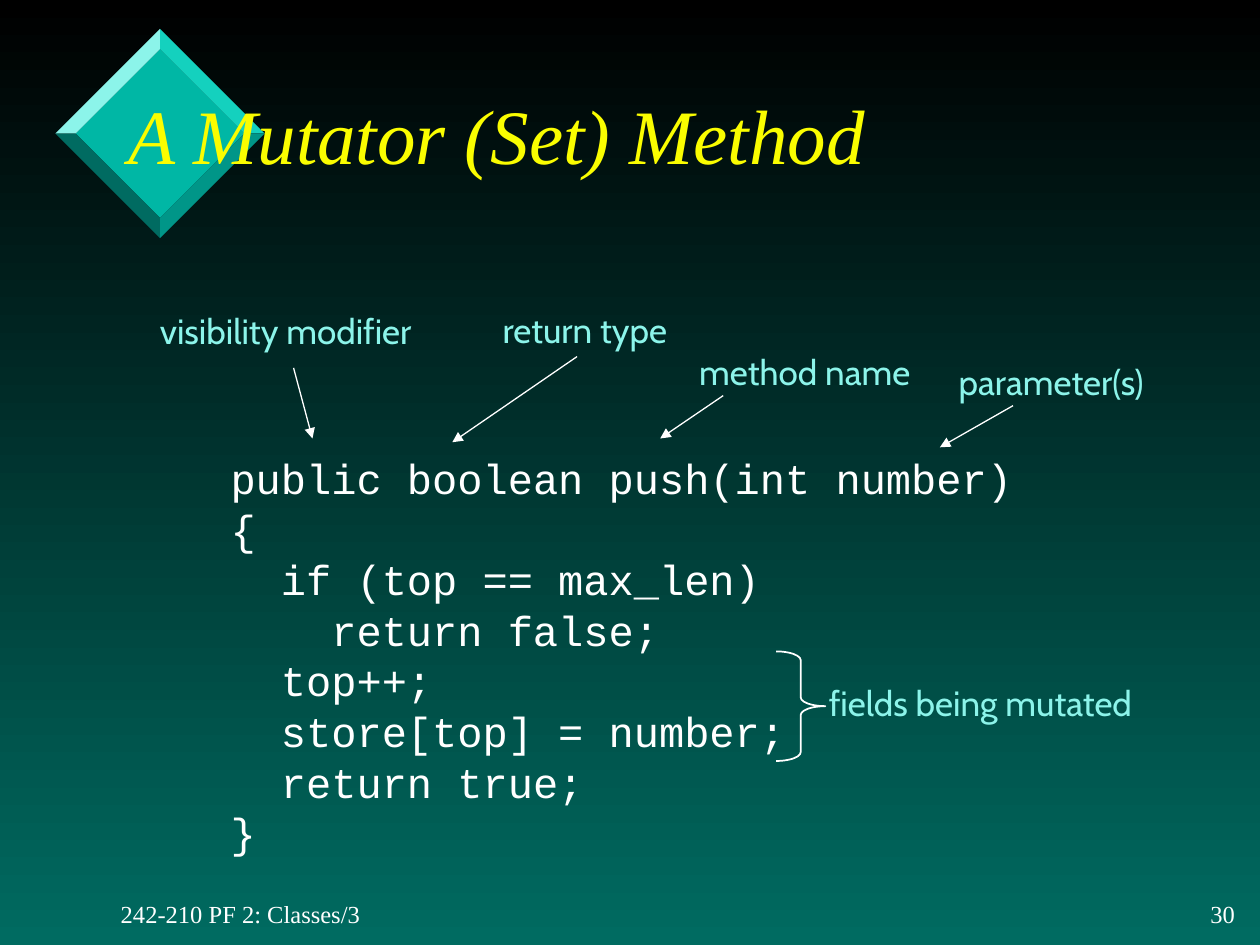
import pptx
import pptx.dml.color
import pptx.enum.shapes
import pptx.enum.text
import pptx.oxml
import pptx.oxml.ns
import pptx.util
from pptx.util import Inches

COLORS = {
    "black": "000000",
    "white": "FFFFFF",
    "yellow": "FAFD00",
    "label": "8CF4EA",
    "face": "00B7A5",
    "top_right": "14D1BE",
    "top_left": "8CF4EA",
    "bottom_right": "009688",
    "bottom_left": "006B61",
}
BODY_FONT, CODE_FONT, LABEL_FONT = "Times New Roman", "Courier New", "Cabin"
ALIGN = pptx.enum.text.PP_ALIGN
ANCHOR = pptx.enum.text.MSO_ANCHOR


def rgb(name):
    return pptx.dml.color.RGBColor.from_string(COLORS[name])


class SlideBuilder:
    """Holds the style and the current slide."""

    def __init__(self, presentation):
        self.slide = presentation.slides.add_slide(presentation.slide_layouts[5])

    def background(self, top, bottom):
        fill = self.slide.background.fill
        fill.gradient()
        fill.gradient_angle = 270
        for stop, name, position in zip(fill.gradient_stops, (top, bottom), (0, 1)):
            stop.color.rgb = rgb(name)
            stop.position = position

    def format_runs(self, paragraph, font, size, color, italic=False):
        for run in paragraph.runs:
            run.font.name = font
            run.font.size = pptx.util.Pt(size)
            run.font.color.rgb = rgb(color)
            run.font.italic = italic

    def title(self, text, left, top, width, height):
        shape = self.slide.shapes.title
        shape.left, shape.top = Inches(left), Inches(top)
        shape.width, shape.height = Inches(width), Inches(height)
        frame = shape.text_frame
        frame.text = text
        frame.auto_size = pptx.enum.text.MSO_AUTO_SIZE.NONE
        frame.vertical_anchor = ANCHOR.MIDDLE
        frame.paragraphs[0].alignment = ALIGN.LEFT
        self.format_runs(frame.paragraphs[0], BODY_FONT, 44, "yellow", italic=True)

    def text(self, text, left, top, width, height, font, size, color,
             align=ALIGN.LEFT, anchor=ANCHOR.TOP, wrap=False):
        box = self.slide.shapes.add_textbox(
            Inches(left), Inches(top), Inches(width), Inches(height))
        frame = box.text_frame
        frame.text = text
        frame.word_wrap = wrap
        frame.vertical_anchor = anchor
        for paragraph in frame.paragraphs:
            paragraph.alignment = align
            self.format_runs(paragraph, font, size, color)
        return frame

    def code(self, lines, left, top, width, height):
        """Each line is a pair of indent (in characters) and text."""
        frame = self.text("\n".join(text for _, text in lines), left, top, width,
                          height, CODE_FONT, 24, "white", wrap=True)
        frame.margin_left, frame.margin_top = Inches(0.5), Inches(0.09)
        for paragraph, (indent, _) in zip(frame.paragraphs, lines):
            paragraph.line_spacing = pptx.util.Pt(28.9)
            properties = paragraph._p.get_or_add_pPr()
            properties.set("marL", str(Inches(0.2 * indent)))
            properties.set("indent", "0")

    def polygon(self, points, color):
        corners = [(Inches(x), Inches(y)) for x, y in points]
        builder = self.slide.shapes.build_freeform(*corners[0])
        builder.add_line_segments(corners[1:], close=True)
        shape = builder.convert_to_shape()
        shape.shadow.inherit = False
        shape.fill.solid()
        shape.fill.fore_color.rgb = rgb(color)
        shape.line.fill.background()

    def arrow(self, start, end):
        connector = self.slide.shapes.add_connector(
            pptx.enum.shapes.MSO_CONNECTOR.STRAIGHT,
            *(Inches(value) for value in start + end))
        connector.line.color.rgb = rgb("white")
        connector.line.width = pptx.util.Pt(0.75)
        tail = pptx.oxml.parse_xml(
            f'<a:tailEnd {pptx.oxml.ns.nsdecls("a")} type="triangle"/>')
        connector.line._get_or_add_ln().append(tail)
        connector._element.spPr.append(pptx.oxml.parse_xml(
            f'<a:effectLst {pptx.oxml.ns.nsdecls("a")}/>'))

    def brace(self, left, top, width, height):
        shape = self.slide.shapes.add_shape(
            pptx.enum.shapes.MSO_SHAPE.RIGHT_BRACE,
            Inches(left), Inches(top), Inches(width), Inches(height))
        shape.adjustments[0], shape.adjustments[1] = 0.18, 0.5
        shape.shadow.inherit = False
        shape.fill.background()
        shape.line.color.rgb = rgb("white")
        shape.line.width = pptx.util.Pt(1)


def diamond_corners(radius, center_x=1.27, center_y=1.06):
    """Top, right, bottom and left corner."""
    return [(center_x + radius * x, center_y + radius * y)
            for x, y in ((0, -1), (1, 0), (0, 1), (-1, 0))]


def main():
    presentation = pptx.Presentation()
    presentation.slide_width, presentation.slide_height = Inches(10), Inches(7.5)
    builder = SlideBuilder(presentation)
    builder.background("black", "bottom_left")

    # Bevelled diamond
    inner, outer = diamond_corners(0.67), diamond_corners(0.83)
    builder.polygon(inner, "face")
    facets = ("top_right", "bottom_right", "bottom_left", "top_left")
    for index, color in enumerate(facets):
        after = (index + 1) % 4
        builder.polygon(
            [inner[index], outer[index], outer[after], inner[after]], color)

    # Footer and page number
    builder.text("242-210 PF 2: Classes/3", 0.86, 7.09, 2.12, 0.33,
                 BODY_FONT, 14, "white", anchor=ANCHOR.MIDDLE)
    builder.text("30", 9.48, 7.09, 0.42, 0.33, BODY_FONT, 14, "white",
                 align=ALIGN.RIGHT, anchor=ANCHOR.MIDDLE)

    # Title, put in front of the diamond
    builder.title("A Mutator (Set) Method", 0.92, 0.46, 8.51, 1.21)
    title_element = builder.slide.shapes.title._element
    title_element.getparent().append(title_element)

    # Method source
    builder.code([
        (0, "public boolean push(int number)"),
        (0, "{"),
        (2, "if (top == max_len)"),
        (4, "return false;"),
        (2, "top++;"),
        (2, "store[top] = number;"),
        (2, "return true;"),
        (0, "}"),
    ], 1.33, 3.5, 7.06, 3.74)

    # Labels
    for text, left, top, width in (
        ("visibility modifier", 1.17, 2.41, 2.39),
        ("return type", 3.89, 2.4, 1.61),
        ("method name", 5.45, 2.73, 1.91),
        ("parameter(s)", 7.51, 2.81, 2.02),
        ("fields being mutated", 6.48, 5.36, 2.78),
    ):
        builder.text(text, left, top, width, 0.43, LABEL_FONT, 20, "label",
                     wrap=text == "parameter(s)")

    # Arrows from the labels to the method header
    for start, end in (
        ((2.33, 2.92), (2.48, 3.48)),
        ((4.58, 2.83), (3.59, 3.51)),
        ((5.74, 3.14), (5.24, 3.48)),
        ((8.04, 3.22), (7.46, 3.55)),
    ):
        builder.arrow(start, end)

    # Brace around the mutated fields
    builder.brace(6.16, 5.17, 0.39, 0.87)

    presentation.save("out.pptx")


if __name__ == "__main__":
    main()
